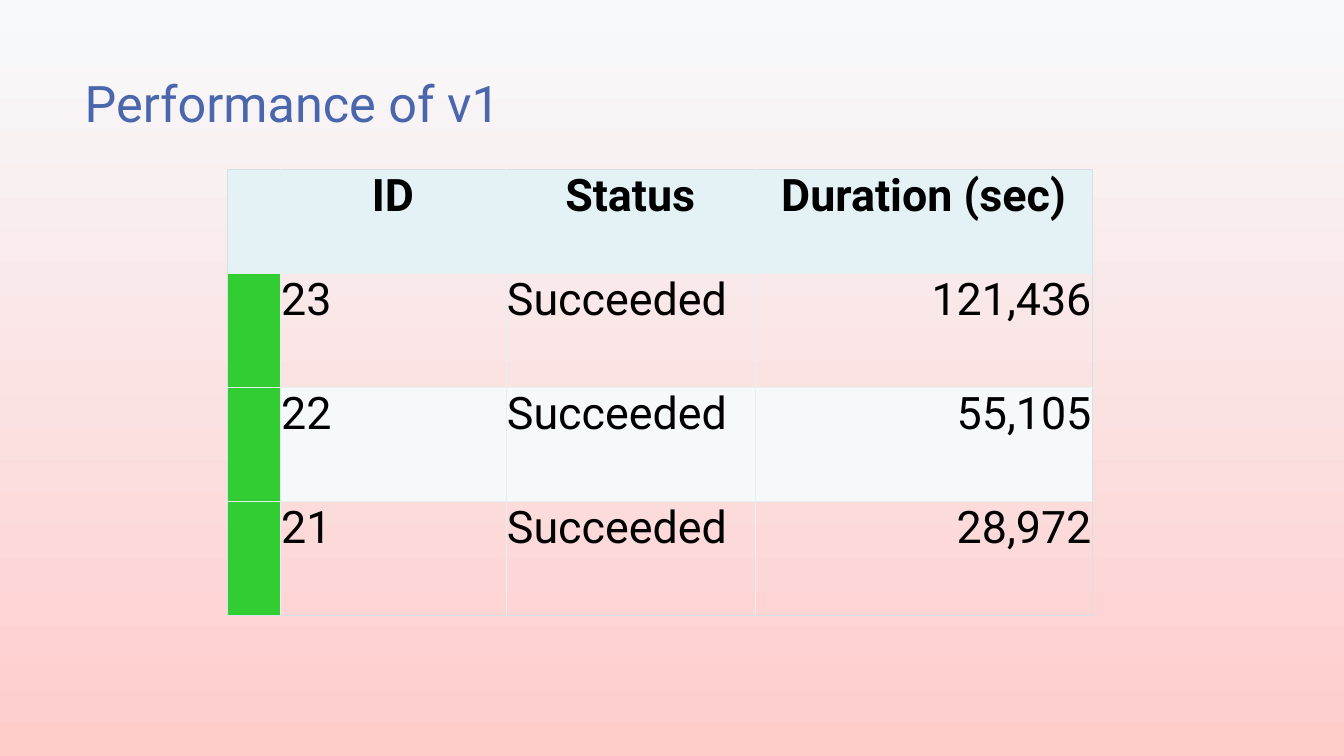
from dataclasses import dataclass

from lxml.etree import SubElement
from pptx import Presentation
from pptx.dml.color import RGBColor
from pptx.enum.text import MSO_ANCHOR, MSO_AUTO_SIZE, PP_ALIGN
from pptx.oxml.ns import qn
from pptx.util import Pt

COLORS = {
    "sky": "F7FAFB",
    "pink": "FFCCCC",
    "title": "4A66AC",
    "text": "000000",
    "header": "E4F2F6",
    "band": "F6F9FA",
    "success": "32CD32",
    "inner": "E6EFF2",
    "outer": "D4E1E5",
}
FONT = "Roboto"
ROW_HEIGHTS = [74.16, 81.36, 81.36, 81.36]


@dataclass
class Column:
    heading: str
    width: float
    align: PP_ALIGN = PP_ALIGN.LEFT


@dataclass
class Run:
    id: str
    status: str
    duration: str


COLUMNS = [
    Column("", 37.44),
    Column("ID", 161.28),
    Column("Status", 177.84),
    Column("Duration (sec)", 241.2, PP_ALIGN.RIGHT),
]
RUNS = [
    Run("23", "Succeeded", "121,436"),
    Run("22", "Succeeded", "55,105"),
    Run("21", "Succeeded", "28,972"),
]


def rgb(name: str) -> RGBColor:
    return RGBColor.from_string(COLORS[name])


def write(tf, text: str, *, size: float, color: str = "text",
          bold: bool = False, align: PP_ALIGN = PP_ALIGN.LEFT) -> None:
    p = tf.paragraphs[0]
    p.alignment = align
    r = p.add_run()
    r.text = text
    r.font.name = FONT
    r.font.size = Pt(size)
    r.font.bold = bold
    r.font.color.rgb = rgb(color)


def set_borders(cell, outer_sides: dict[str, bool]) -> None:
    tc_pr = cell._tc.get_or_add_tcPr()
    for side, outer in outer_sides.items():
        ln = SubElement(tc_pr, qn(f"a:ln{side}"), w=str(Pt(0.5)))
        fill = SubElement(ln, qn("a:solidFill"))
        SubElement(fill, qn("a:srgbClr"), val=COLORS["outer" if outer else "inner"])


def cell_fill(row: int, col: int) -> str | None:
    if row == 0:
        return "header"
    if col == 0:
        return "success"
    return "band" if row % 2 == 0 else None


def draw_background(s) -> None:
    fill = s.background.fill
    fill.gradient()
    fill.gradient_angle = 270
    for stop, color, position in zip(fill.gradient_stops, ("sky", "pink"), (0, 1)):
        stop.color.rgb = rgb(color)
        stop.position = position


def draw_title(s, text: str) -> None:
    sp = s.shapes.title
    sp.left, sp.top, sp.width, sp.height = Pt(53.28), Pt(48.24), Pt(676.8), Pt(103.68)
    tf = sp.text_frame
    tf.auto_size = MSO_AUTO_SIZE.NONE
    tf.vertical_anchor = MSO_ANCHOR.TOP
    write(tf, text, size=36, color="title")


def draw_table(s) -> None:
    rows = [[c.heading for c in COLUMNS]]
    rows += [["", run.id, run.status, run.duration] for run in RUNS]
    width = sum(c.width for c in COLUMNS)
    table = s.shapes.add_table(len(rows), len(COLUMNS), Pt(162.72), Pt(120.96),
                               Pt(width), Pt(sum(ROW_HEIGHTS))).table
    table.first_row = False
    table.horz_banding = False
    for column, spec_column in zip(table.columns, COLUMNS):
        column.width = Pt(spec_column.width)
    for i, texts in enumerate(rows):
        table.rows[i].height = Pt(ROW_HEIGHTS[i])
        for j, text in enumerate(texts):
            cell = table.cell(i, j)
            cell.margin_left = cell.margin_right = cell.margin_top = Pt(0.72)
            cell.margin_bottom = Pt(0)
            set_borders(cell, {"L": j == 0, "R": j == len(COLUMNS) - 1,
                               "T": i == 0, "B": i == len(rows) - 1})
            color = cell_fill(i, j)
            if color:
                cell.fill.solid()
                cell.fill.fore_color.rgb = rgb(color)
            else:
                cell.fill.background()
            if text:
                align = PP_ALIGN.CENTER if i == 0 else COLUMNS[j].align
                write(cell.text_frame, text, size=32, bold=i == 0, align=align)


def main() -> None:
    prs = Presentation()
    prs.slide_width, prs.slide_height = Pt(960), Pt(540)
    s = prs.slides.add_slide(prs.slide_layouts[5])
    draw_background(s)
    draw_title(s, "Performance of v1")
    draw_table(s)
    prs.save("out.pptx")


if __name__ == "__main__":
    main()
